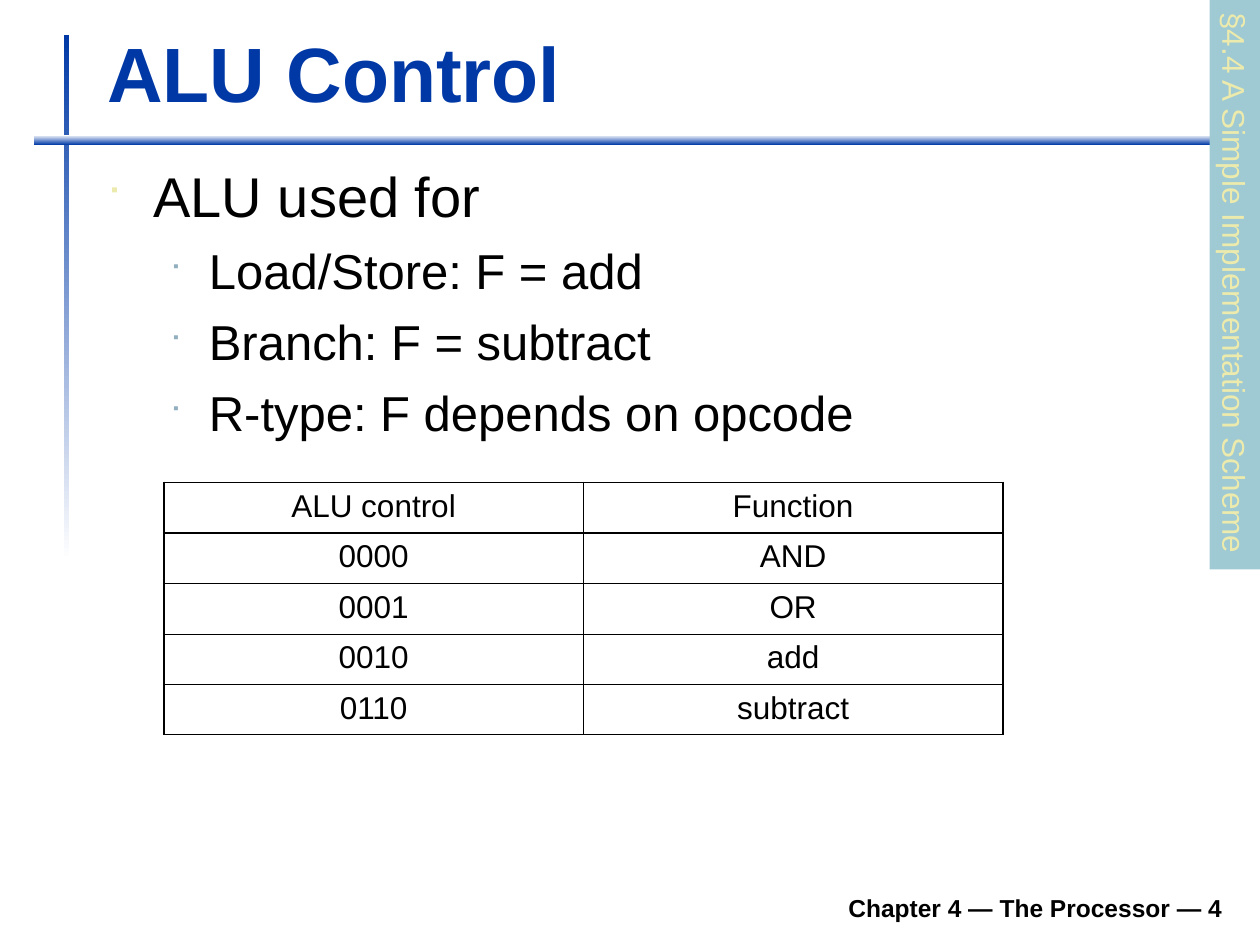
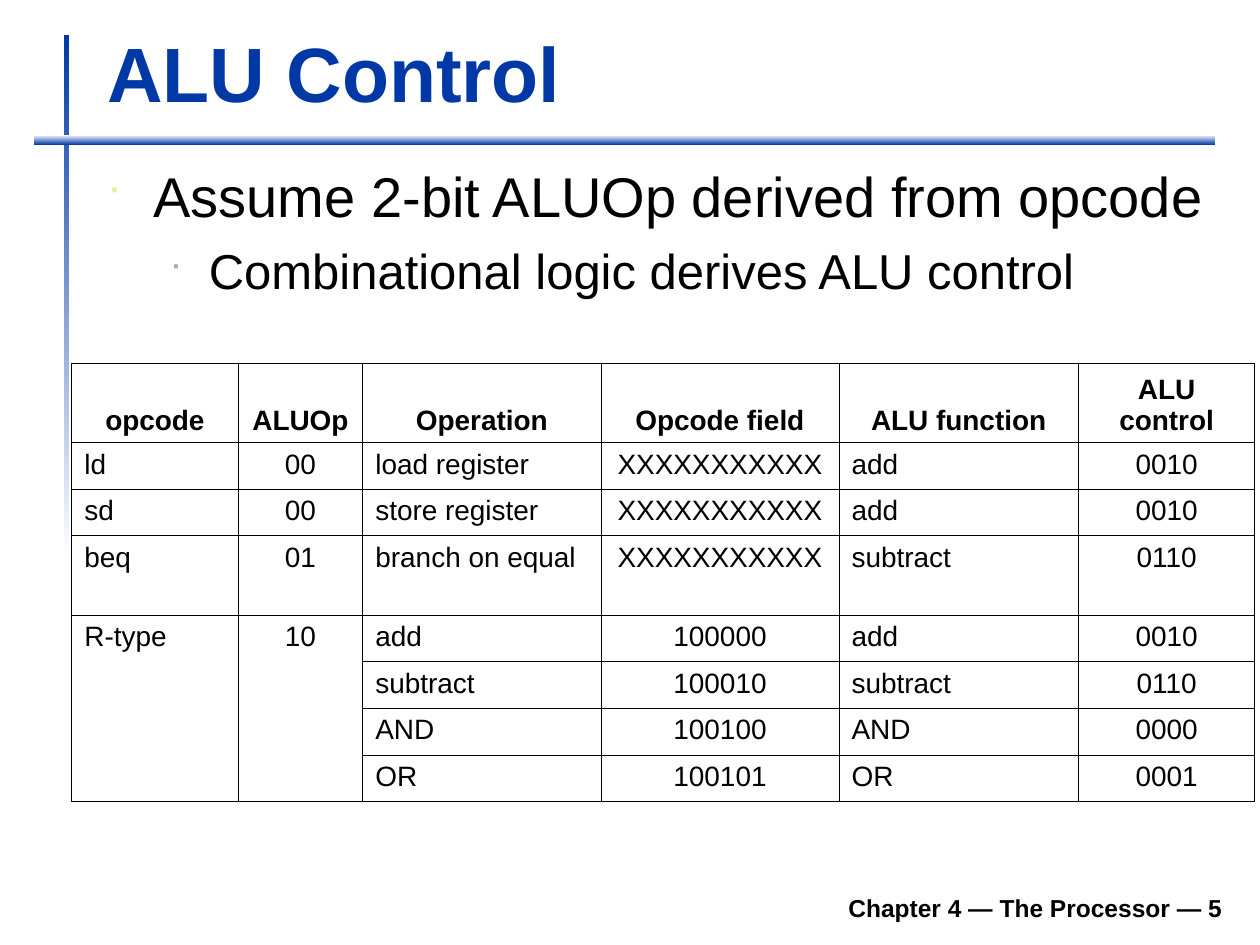
"""Build two slides on ALU control."""
from dataclasses import dataclass

from lxml.etree import SubElement as Sub
from pptx import Presentation
from pptx.dml.color import RGBColor as Rgb
from pptx.enum.shapes import MSO_SHAPE as Shape
from pptx.enum.text import MSO_ANCHOR as Anchor, MSO_AUTO_SIZE as Auto, PP_ALIGN as Align
from pptx.oxml.ns import qn
from pptx.util import Inches, Pt

FONT = "Arial"
BLACK, WHITE, BLUE = "000000", "FFFFFF", "0039A6"
CREAM, STEEL, TEAL = "ECEAAC", "91AFBF", "9FCAD3"
THIN, MID, THICK = 0.45, 0.75, 1.08


@dataclass(frozen=True)
class Box:
    left: float
    top: float
    width: float
    height: float

    def size(self) -> tuple:
        return tuple(Inches(v) for v in (self.left, self.top, self.width, self.height))


@dataclass(frozen=True)
class Level:
    size: int
    left: float
    hang: float
    space: int
    color: str
    scale: int


@dataclass(frozen=True)
class Grid:
    box: Box
    cols: tuple
    rows: tuple
    cells: tuple
    size: int
    aligns: str
    bold: bool = False
    edge: float = THIN
    rule: float = THIN
    spans: tuple = ()


LEVELS = (Level(32, 0.37, 0.37, 8, CREAM, 60), Level(28, 0.81, 0.31, 7, STEEL, 55))
STEM = Box(0.51, 0.28, 0.04, 4.17)
BAR = Box(0.27, 1.07, 9.37, 0.08)
TITLE = Box(0.75, 0.16, 9.03, 0.83)
FOOT = Box(1.85, 6.98, 7.95, 0.39)
TAB = Box(7.54, 2.06, 4.52, 0.4)

CODES = Grid(
    Box(1.3, 3.83, 6.67, 2.01), (3.33,) * 2, (0.4,) * 5,
    (("ALU control", "Function"), ("0000", "AND"), ("0001", "OR"),
     ("0010", "add"), ("0110", "subtract")),
    18, "cc", edge=THICK, rule=MID)

ANY = "X" * 11
TRUTH = Grid(
    Box(0.57, 2.88, 9.4, 3.48), (1.32, 0.99, 1.89, 1.89, 1.9, 1.4),
    (0.63, 0.37, 0.37, 0.63) + (0.37,) * 4,
    (("opcode", "ALUOp", "Operation", "Opcode field", "ALU function", "ALU control"),
     ("ld", "00", "load register", ANY, "add", "0010"),
     ("sd", "00", "store register", ANY, "add", "0010"),
     ("beq", "01", "branch on equal", ANY, "subtract", "0110"),
     ("R-type", "10", "add", "100000", "add", "0010"),
     ("", "", "subtract", "100010", "subtract", "0110"),
     ("", "", "AND", "100100", "AND", "0000"),
     ("", "", "OR", "100101", "OR", "0001")),
    16, "lclclc", bold=True, spans=((4, 0, 7, 0), (4, 1, 7, 1)))


def paint(target, color: str) -> None:
    target.rgb = Rgb.from_string(color)


def write(para, text: str, *, size: int, color: str = BLACK, bold: bool = False,
          align=Align.LEFT) -> None:
    para.alignment = align
    run = para.add_run()
    run.text = text
    run.font.name, run.font.size, run.font.bold = FONT, Pt(size), bold
    paint(run.font.color, color)


def block(slide, box: Box):
    shape = slide.shapes.add_shape(Shape.RECTANGLE, *box.size())
    shape.shadow.inherit = False
    shape.line.fill.background()
    return shape


def fade(slide, box: Box, angle: int) -> None:
    fill = block(slide, box).fill
    fill.gradient()
    fill.gradient_angle = angle
    for stop, color in zip(fill.gradient_stops, (BLUE, WHITE)):
        paint(stop.color, color)


def frame(slide, box: Box):
    area = slide.shapes.add_textbox(*box.size()).text_frame
    area.word_wrap = True
    return area


def base(deck, title: str, page: int):
    slide = deck.slides.add_slide(deck.slide_layouts[5])
    fade(slide, STEM, 270)
    fade(slide, BAR, 90)
    head = slide.shapes.title
    head.left, head.top, head.width, head.height = TITLE.size()
    area = head.text_frame
    area.auto_size, area.vertical_anchor = Auto.NONE, Anchor.BOTTOM
    write(area.paragraphs[0], title, size=44, color=BLUE, bold=True)
    foot = frame(slide, FOOT)
    foot.vertical_anchor = Anchor.BOTTOM
    write(foot.paragraphs[0], f"Chapter 4 — The Processor — {page}",
          size=14, bold=True, align=Align.RIGHT)
    return slide


def bullet(para, level: Level) -> None:
    props = para._p.get_or_add_pPr()
    props.set("marL", str(Inches(level.left)))
    props.set("indent", str(-Inches(level.hang)))
    Sub(Sub(props, qn("a:buClr")), qn("a:srgbClr"), val=level.color)
    Sub(props, qn("a:buSzPct"), val=str(level.scale * 1000))
    Sub(props, qn("a:buFont"), typeface="Wingdings", charset="2")
    Sub(props, qn("a:buChar"), char="■")


def points(slide, height: float, items: list) -> None:
    area = frame(slide, Box(0.75, 1.23, 9.04, height))
    for i, (depth, text) in enumerate(items):
        para = area.add_paragraph() if i else area.paragraphs[0]
        level = LEVELS[depth]
        para.level = depth
        bullet(para, level)
        if i:
            para.space_before = Pt(level.space)
        write(para, text, size=level.size)


def side(slide, text: str) -> None:
    shape = block(slide, TAB)
    shape.rotation = 90
    shape.fill.solid()
    paint(shape.fill.fore_color, TEAL)
    area = shape.text_frame
    area.word_wrap, area.vertical_anchor = False, Anchor.TOP
    write(area.paragraphs[0], text, size=18, color=CREAM)


def border(cell, widths: dict) -> None:
    props = cell._tc.get_or_add_tcPr()
    for i, (edge, width) in enumerate(widths.items()):
        line = Sub(props, qn(f"a:ln{edge}"), w=str(Pt(width)))
        Sub(Sub(line, qn("a:solidFill")), qn("a:srgbClr"), val=BLACK)
        props.insert(i, line)


def table(slide, grid: Grid) -> None:
    rows, cols = len(grid.rows), len(grid.cols)
    body = slide.shapes.add_table(rows, cols, *grid.box.size()).table
    body.first_row = body.horz_banding = False
    for col, width in zip(body.columns, grid.cols):
        col.width = Inches(width)
    for row, height in zip(body.rows, grid.rows):
        row.height = Inches(height)
    for r, line in enumerate(grid.cells):
        for c, text in enumerate(line):
            cell = body.cell(r, c)
            cell.fill.background()
            cell.vertical_anchor = Anchor.BOTTOM if grid.bold and r == 0 else Anchor.TOP
            border(cell, {
                "L": THIN if c else grid.edge,
                "R": grid.edge if c == cols - 1 else THIN,
                "T": (grid.edge, grid.rule)[r] if r < 2 else THIN,
                "B": THIN if r else grid.rule})
            if text:
                mid = r == 0 or grid.aligns[c] == "c"
                write(cell.text_frame.paragraphs[0], text, size=grid.size,
                      bold=grid.bold and r == 0,
                      align=Align.CENTER if mid else Align.LEFT)
    for top, left, end, right in grid.spans:
        body.cell(top, left).merge(body.cell(end, right))


def main() -> None:
    deck = Presentation()
    deck.slide_width, deck.slide_height = Inches(10), Inches(7.5)

    slide = base(deck, "ALU Control", 4)
    points(slide, 2.6, [
        (0, "ALU used for"), (1, "Load/Store: F = add"),
        (1, "Branch: F = subtract"), (1, "R-type: F depends on opcode")])
    side(slide, "§4.4 A Simple Implementation Scheme")
    table(slide, CODES)

    slide = base(deck, "ALU Control", 5)
    points(slide, 5.59, [
        (0, "Assume 2-bit ALUOp derived from opcode"),
        (1, "Combinational logic derives ALU control")])
    table(slide, TRUTH)
    deck.save("out.pptx")


if __name__ == "__main__":
    main()
